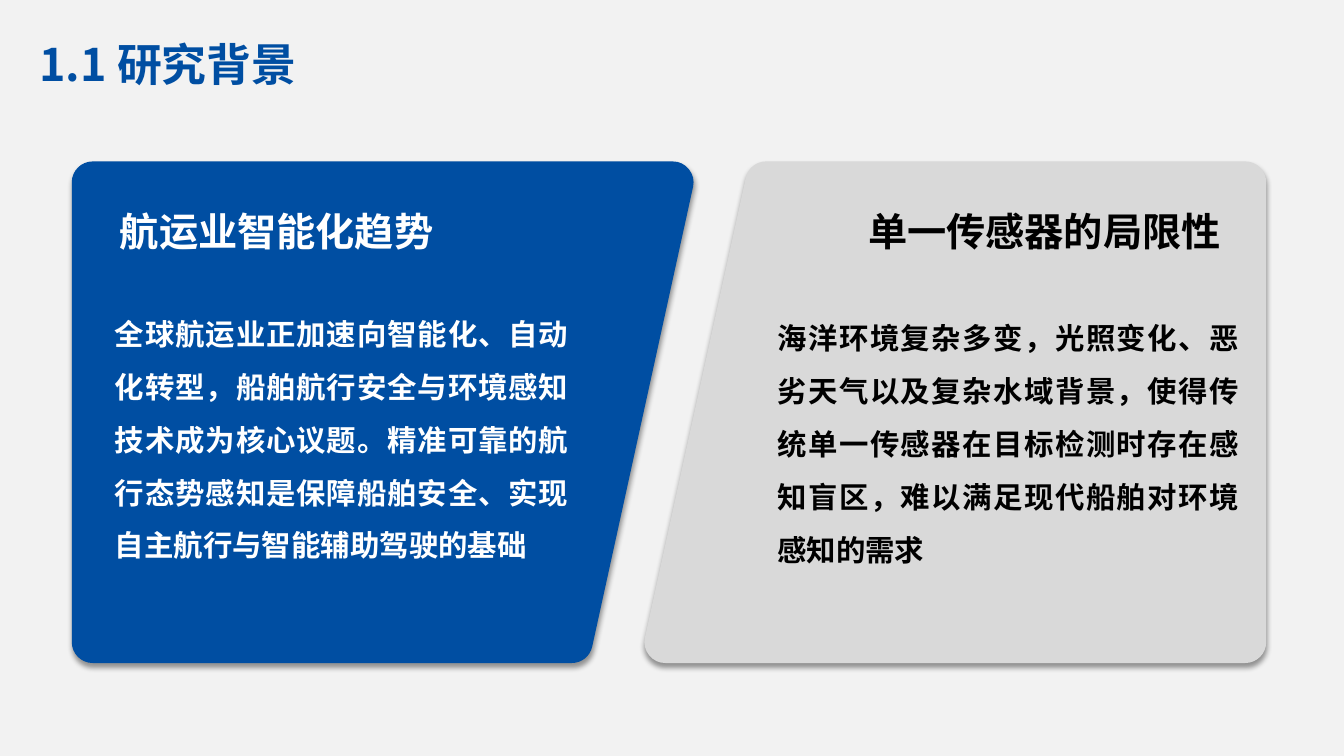
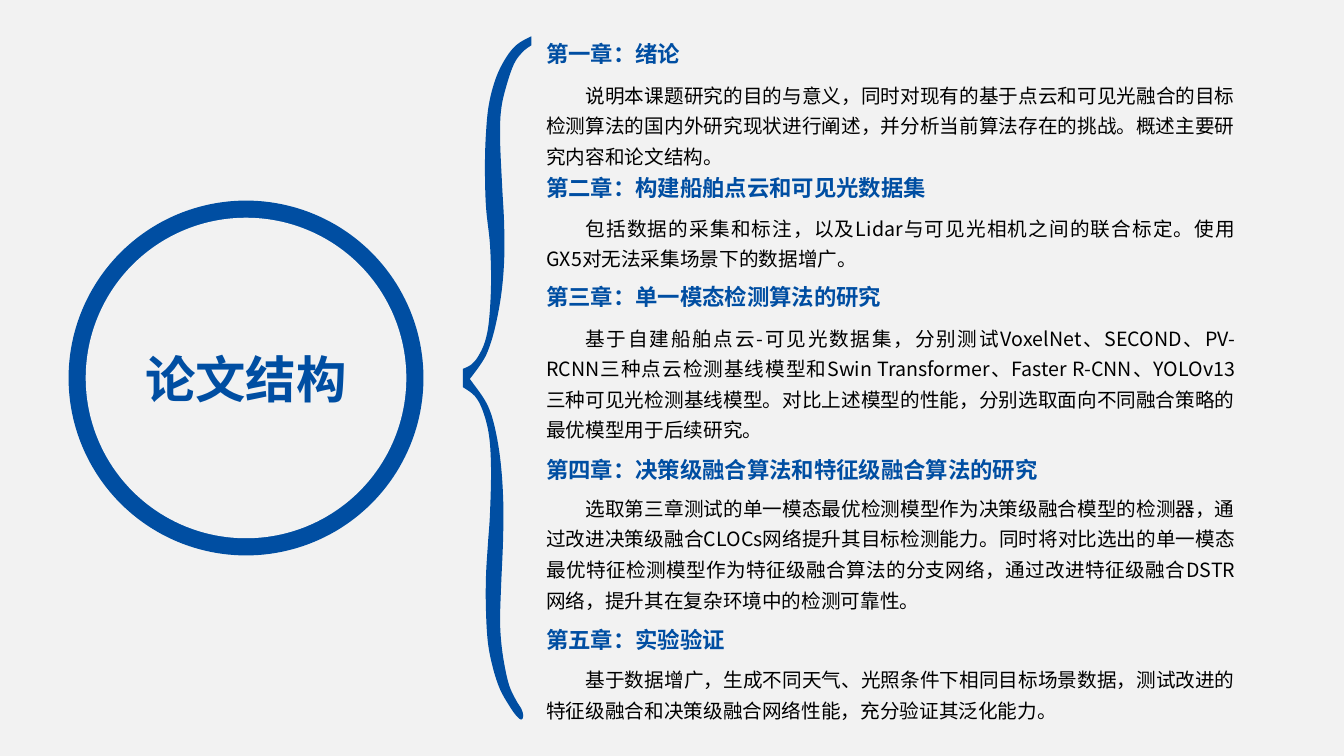
from lxml import etree
from pptx import Presentation
from pptx.dml.color import RGBColor
from pptx.enum.shapes import MSO_SHAPE
from pptx.enum.text import MSO_ANCHOR, PP_ALIGN
from pptx.oxml.ns import qn
from pptx.util import Pt

PX = 9144  # EMU per px, 100 px to the inch
FONT = "Noto Sans CJK SC"
COLORS = {
    "background": "F2F2F2",
    "blue": "004EA2",
    "gray": "D9D9D9",
    "white": "FFFFFF",
    "black": "000000",
}
OVAL, RECTANGLE = MSO_SHAPE.OVAL, MSO_SHAPE.RECTANGLE
TOP, MIDDLE, BOTTOM = MSO_ANCHOR.TOP, MSO_ANCHOR.MIDDLE, MSO_ANCHOR.BOTTOM
LEFT, CENTER, JUSTIFY = PP_ALIGN.LEFT, PP_ALIGN.CENTER, PP_ALIGN.JUSTIFY


def write(shape, text, size, color, bold=True, align=LEFT, anchor=TOP,
          insets=(10, 5), spacing=1.0, indent=0):
    frame = shape.text_frame
    frame.word_wrap = True
    frame.vertical_anchor = anchor
    frame.margin_left = frame.margin_right = insets[0] * PX
    frame.margin_top = frame.margin_bottom = insets[1] * PX
    paragraph = frame.paragraphs[0]
    paragraph.alignment = align
    paragraph.line_spacing = spacing
    if indent:
        paragraph._p.get_or_add_pPr().set("indent", str(indent * PX))
    run = paragraph.add_run()
    run.text = text
    run.font.size = Pt(size)
    run.font.bold = bold
    run.font.color.rgb = RGBColor.from_string(COLORS[color])
    run.font.name = FONT
    east_asian = etree.SubElement(run._r.get_or_add_rPr(), qn("a:ea"))
    east_asian.set("typeface", FONT)


def paint(shape, color):
    """Give the shape a flat fill without outline or shadow."""
    shape.shadow.inherit = False
    shape.fill.solid()
    shape.fill.fore_color.rgb = RGBColor.from_string(COLORS[color])
    shape.line.fill.background()


presentation = Presentation()
presentation.slide_width = 1333 * PX
presentation.slide_height = 750 * PX
title_only, blank = presentation.slide_layouts[5], presentation.slide_layouts[6]

# Research background: two cards, one turned half round
slide = presentation.slides.add_slide(title_only)
backdrop = slide.shapes.add_shape(
    RECTANGLE, 0, 0, presentation.slide_width, presentation.slide_height)
paint(backdrop, "background")
# The backdrop is shared, so it moves to the back of the master
presentation.slide_master.shapes._spTree.insert(2, backdrop._element)

title = slide.shapes.title
title.left, title.top, title.width, title.height = (
    value * PX for value in (39, 31, 293, 64))
write(title, "1.1 研究背景", 32, "blue", insets=(0, 5))

left_card = [(92, 181), (667, 181), (567, 637), (92, 637)]
right_card = [(1327 - x, 818 - y) for x, y in left_card]
cards = [
    (right_card, "gray", "black", (861, 205, 369, 47), (771, 300, 458, 265),
     "单一传感器的局限性",
     "海洋环境复杂多变，光照变化、恶劣天气以及复杂水域背景，使得传统单一传感器"
     "在目标检测时存在感知盲区，难以满足现代船舶对环境感知的需求"),
    (left_card, "blue", "white", (119, 205, 320, 47), (114, 296, 450, 297),
     "航运业智能化趋势",
     "全球航运业正加速向智能化、自动化转型，船舶航行安全与环境感知技术成为核心"
     "议题。精准可靠的航行态势感知是保障船舶安全、实现自主航行与智能辅助驾驶的基础"),
]
for corners, fill, ink, heading_box, body_box, heading, body in cards:
    builder = slide.shapes.build_freeform(*corners[0], scale=PX)
    builder.add_line_segments(corners[1:], close=True)
    card = builder.convert_to_shape()
    paint(card, fill)
    card.line.color.rgb = RGBColor.from_string(COLORS[fill])
    card.line.width = Pt(30)
    etree.SubElement(card.line._get_or_add_ln(), qn("a:round"))
    effects = card._element.spPr.find(qn("a:effectLst"))
    shadow = etree.SubElement(effects, qn("a:outerShdw"), blurRad=str(Pt(4)),
                              dist=str(Pt(3)), dir="5400000", algn="t",
                              rotWithShape="0")
    shade = etree.SubElement(shadow, qn("a:srgbClr"), val=COLORS["black"])
    etree.SubElement(shade, qn("a:alpha"), val="40000")

    heading_text = slide.shapes.add_textbox(*(v * PX for v in heading_box))
    write(heading_text, heading, 28, ink, align=JUSTIFY, anchor=BOTTOM,
          insets=(0, 0))
    body_text = slide.shapes.add_textbox(*(v * PX for v in body_box))
    write(body_text, body, 21, ink, align=JUSTIFY, insets=(0, 0), spacing=1.5)

# Thesis structure: ring, brace and chapter list
slide = presentation.slides.add_slide(blank)
for inset, color in ((0, "blue"), (17, "background")):
    diameter = (352 - 2 * inset) * PX
    disc = slide.shapes.add_shape(
        OVAL, (68 + inset) * PX, (199 + inset) * PX, diameter, diameter)
    paint(disc, color)
write(disc, "论文结构", 36, "blue", align=CENTER, anchor=MIDDLE)

# Each edge starts where the one before it ends
brace_edges = [
    [(527, 36), (513, 44), (502, 57), (492, 77), (485, 103), (482, 132),
     (481, 165), (482, 205), (486, 243), (487, 282), (485, 318), (481, 339),
     (474, 354), (467, 362), (459, 366)],
    [(459, 366), (459, 384)],
    [(459, 384), (471, 393), (479, 408), (485, 432), (487, 465), (486, 509),
     (484, 539), (482, 572), (482, 606), (484, 638), (489, 663), (496, 684),
     (505, 700), (512, 710), (517, 714), (519, 710), (517, 703), (512, 695),
     (505, 680), (500, 658), (497, 636), (496, 614), (497, 581), (499, 534),
     (499, 493), (496, 454), (490, 421), (482, 399), (466, 376)],
    [(466, 376), (477, 361), (484, 348), (491, 325), (497, 293), (500, 259),
     (500, 222), (498, 184), (496, 138), (497, 109), (502, 86), (510, 63),
     (519, 51), (527, 45)],
]
outline = [(x * PX, y * PX) for edge in brace_edges for x, y in edge[1:]]
start_x, start_y = brace_edges[0][0]
builder = slide.shapes.build_freeform(start_x * PX, start_y * PX)
builder.add_line_segments(outline, close=True)
brace = builder.convert_to_shape()
paint(brace, "blue")

# Turn the straight segments into Catmull-Rom curves
segments = iter(list(brace._element.iter(qn("a:lnTo"))))
for edge in brace_edges:
    padded = [edge[0], *edge, edge[-1]]
    for before, start, end, after in zip(padded, padded[1:], padded[2:], padded[3:]):
        segment = next(segments)
        curve = etree.Element(qn("a:cubicBezTo"))
        controls = [
            [s + (e - b) / 6 for b, s, e in zip(before, start, end)],
            [e - (a - s) / 6 for s, e, a in zip(start, end, after)],
            end,
        ]
        for x, y in controls:
            etree.SubElement(curve, qn("a:pt"), x=str(round(x * PX) - brace.left),
                             y=str(round(y * PX) - brace.top))
        segment.getparent().replace(segment, curve)

chapters = [
    (35, 71, 99, "第一章：绪论",
     "说明本课题研究的目的与意义，同时对现有的基于点云和可见光融合的目标检测算法的"
     "国内外研究现状进行阐述，并分析当前算法存在的挑战。概述主要研究内容和论文结构。"),
    (168, 203, 71, "第二章：构建船舶点云和可见光数据集",
     "包括数据的采集和标注，以及Lidar与可见光相机之间的联合标定。"
     "使用GX5对无法采集场景下的数据增广。"),
    (276, 312, 132, "第三章：单一模态检测算法的研究",
     "基于自建船舶点云-可见光数据集，分别测试VoxelNet、SECOND、PV-RCNN三种点云检测"
     "基线模型和Swin Transformer、Faster R-CNN、YOLOv13三种可见光检测基线模型。"
     "对比上述模型的性能，分别选取面向不同融合策略的最优模型用于后续研究。"),
    (448, 481, 132, "第四章：决策级融合算法和特征级融合算法的研究",
     "选取第三章测试的单一模态最优检测模型作为决策级融合模型的检测器，通过改进决策级"
     "融合CLOCs网络提升其目标检测能力。同时将对比选出的单一模态最优特征检测模型作为"
     "特征级融合算法的分支网络，通过改进特征级融合DSTR网络，提升其在复杂环境中的检测"
     "可靠性。"),
    (616, 651, 71, "第五章：实验验证",
     "基于数据增广，生成不同天气、光照条件下相同目标场景数据，测试改进的特征级融合和"
     "决策级融合网络性能，充分验证其泛化能力。"),
]
for heading_top, body_top, body_height, heading, body in chapters:
    heading_text = slide.shapes.add_textbox(
        532 * PX, heading_top * PX, 703 * PX, 37 * PX)
    write(heading_text, heading, 16, "blue")
    body_text = slide.shapes.add_textbox(
        532 * PX, body_top * PX, 703 * PX, body_height * PX)
    write(body_text, body, 14, "black", bold=False, align=JUSTIFY,
          spacing=1.3, indent=39)

presentation.save("out.pptx")
